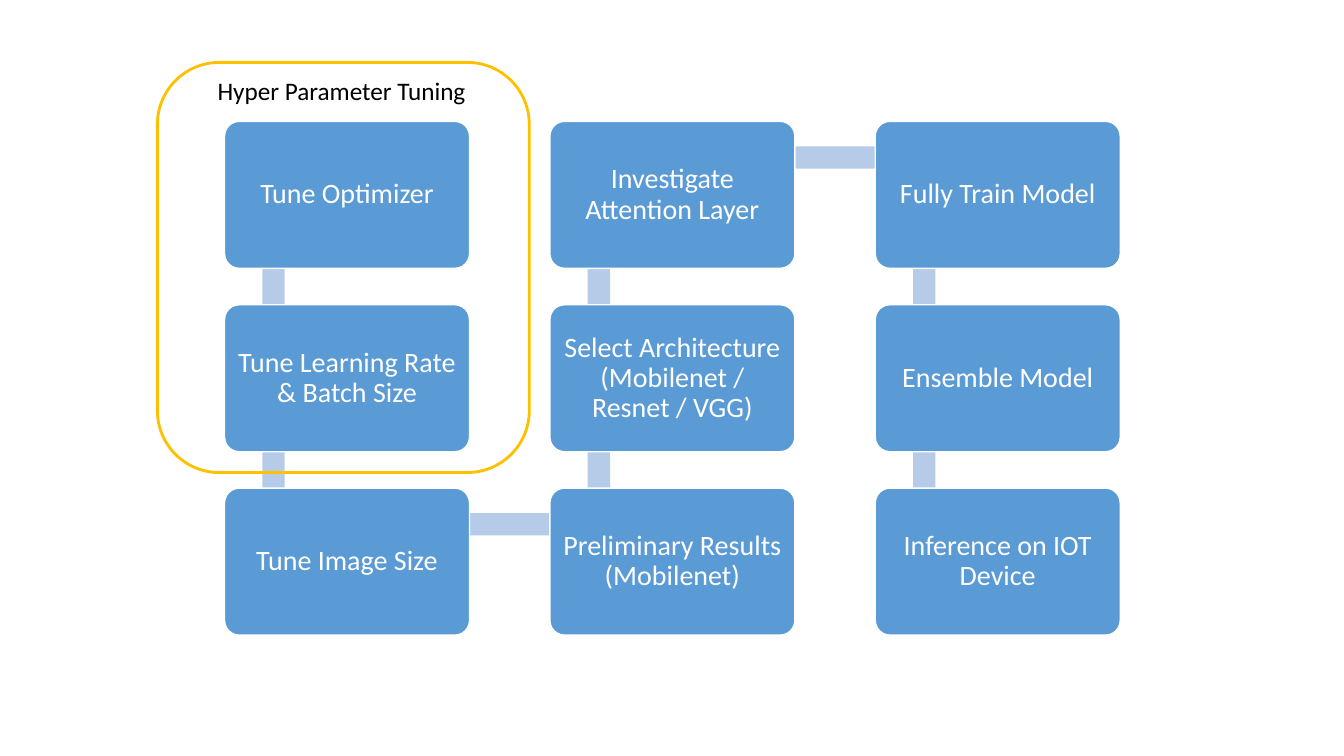
from pptx import Presentation
from pptx.dml.color import RGBColor
from pptx.enum.shapes import MSO_SHAPE
from pptx.enum.text import MSO_ANCHOR, PP_ALIGN
from pptx.util import Pt

INK = {"box": "5B9BD5", "bar": "B5CBE7", "frame": "FFC000",
       "white": "FFFFFF", "black": "000000"}

deck = Presentation()
deck.slide_width, deck.slide_height = Pt(960), Pt(540)
slide = deck.slides.add_slide(deck.slide_layouts[6])


def draw(kind, x, y, w, h, fill=None, line=None, weight=1):
    shape = slide.shapes.add_shape(kind, Pt(x), Pt(y), Pt(w), Pt(h))
    shape.shadow.inherit = False
    if fill:
        shape.fill.solid()
        shape.fill.fore_color.rgb = RGBColor.from_string(INK[fill])
    else:
        shape.fill.background()
    if line:
        shape.line.color.rgb = RGBColor.from_string(INK[line])
        shape.line.width = Pt(weight)
    else:
        shape.line.fill.background()
    return shape


def write(shape, text, size=20, color="white", align=PP_ALIGN.CENTER,
          anchor=MSO_ANCHOR.MIDDLE, inset=6, spacing=0.9, wrap=True):
    frame = shape.text_frame
    frame.word_wrap = wrap
    frame.vertical_anchor = anchor
    frame.margin_left = frame.margin_right = Pt(inset)
    para = frame.paragraphs[0]
    para.alignment = align
    para.line_spacing = spacing
    run = para.add_run()
    run.text = text
    run.font.name = "Calibri"
    run.font.size = Pt(size)
    run.font.color.rgb = RGBColor.from_string(INK[color])


LEFT, TOP = 160.4, 86.7
STEP_X, STEP_Y = 232.4, 131
WIDE, HIGH, THICK = 175, 105, 16

steps = [
    ["Tune Optimizer", "Tune Learning Rate & Batch Size", "Tune Image Size"],
    ["Investigate Attention Layer",
     "Select Architecture (Mobilenet / Resnet / VGG)",
     "Preliminary Results (Mobilenet)"],
    ["Fully Train Model", "Ensemble Model", "Inference on IOT Device"],
]

for col in range(3):
    for row in range(2):
        draw(MSO_SHAPE.RECTANGLE, LEFT + col * STEP_X + 27,
             TOP + row * STEP_Y + 26, THICK, STEP_Y, fill="bar")

for col, row in [(0, 2), (1, 0)]:
    draw(MSO_SHAPE.RECTANGLE, LEFT + col * STEP_X + 35,
         TOP + row * STEP_Y + 17.8, STEP_X, THICK, fill="bar")

for col, names in enumerate(steps):
    for row, name in enumerate(names):
        box = draw(MSO_SHAPE.ROUNDED_RECTANGLE, LEFT + col * STEP_X,
                   TOP + row * STEP_Y, WIDE, HIGH, fill="box", line="white")
        box.adjustments[0] = 0.1
        write(box, name)

draw(MSO_SHAPE.ROUNDED_RECTANGLE, 112.4, 44.6, 265.7, 293,
     line="frame", weight=2)

title = slide.shapes.add_textbox(Pt(148.3), Pt(50.6), Pt(193.7), Pt(29))
write(title, "Hyper Parameter Tuning", size=18, color="black",
      align=PP_ALIGN.LEFT, anchor=MSO_ANCHOR.TOP, inset=7.2,
      spacing=1.0, wrap=False)

deck.save("out.pptx")
